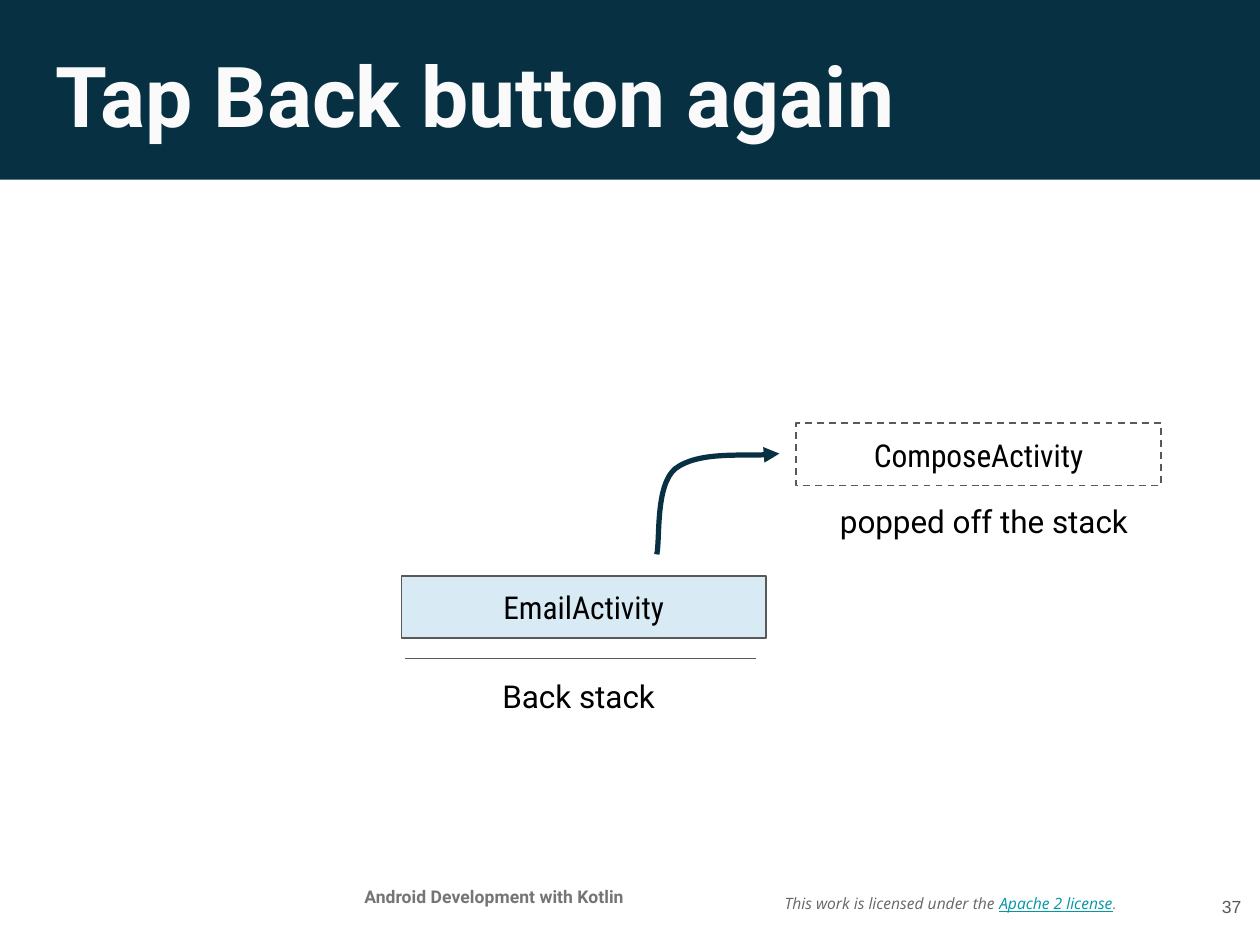
from lxml import etree
from pptx import Presentation
from pptx.dml.color import RGBColor
from pptx.enum.dml import MSO_LINE
from pptx.enum.shapes import MSO_CONNECTOR, MSO_SHAPE
from pptx.enum.text import MSO_ANCHOR, PP_ALIGN
from pptx.oxml.ns import qn
from pptx.util import Inches, Pt

RECTANGLE, STRAIGHT = MSO_SHAPE.RECTANGLE, MSO_CONNECTOR.STRAIGHT
TOP, MIDDLE = MSO_ANCHOR.TOP, MSO_ANCHOR.MIDDLE
LEFT, CENTER, RIGHT = PP_ALIGN.LEFT, PP_ALIGN.CENTER, PP_ALIGN.RIGHT
NAVY = RGBColor(0x07, 0x30, 0x42)
BLUE = RGBColor(0x0E, 0x87, 0xC0)
TEAL = RGBColor(0x00, 0x97, 0xA7)
WHITE = RGBColor(0xFF, 0xFF, 0xFF)
OFF_WHITE = RGBColor(0xFA, 0xFA, 0xFA)
BLACK = RGBColor(0, 0, 0)
DARK_GRAY = RGBColor(0x59, 0x59, 0x59)
MID_GRAY = RGBColor(0x66, 0x66, 0x66)
LIGHT_GRAY = RGBColor(0x75, 0x75, 0x75)

# Slide size in points (4:3), all other lengths in inches
SLIDE_SIZE = (540, 405)
BAND = (-0.01, -0.04, 7.51, 1.11)
INSET = 0.07
ACTIVITY_SIZE = (2.17, 0.37)

# Content: runs as (text, font, size, colour, styles)
TEXTS = [
    ((0.26, 0.19, 6.99, 0.63), LEFT, TOP,
     [("Tap Back button again", "Roboto", 36, OFF_WHITE, ("bold",))]),
    ((2.53, 4.04, 1.83, 0.2), CENTER, MIDDLE,
     [("Back stack", "Roboto", 13.5, BLACK, ())]),
    ((4.93, 2.92, *ACTIVITY_SIZE), LEFT, TOP,
     [("popped off the stack", "Roboto", 13.5, BLACK, ())]),
    ((1.88, 5.21, 2.12, 0.32), CENTER, TOP,
     [("Android Development with Kotlin", "Roboto", 7.5, LIGHT_GRAY, ("bold",))]),
    ((4.6, 5.14, 2.2, 0.47), LEFT, MIDDLE,
     [("This work is licensed under the ", "Open Sans", 6.7, MID_GRAY, ("italic",)),
      ("Apache 2 license", "Open Sans", 6.7, TEAL, ("italic", "underline")),
      (".", "Roboto", 6.7, MID_GRAY, ("italic",))]),
    ((7.01, 5.18, 0.45, 0.43), RIGHT, MIDDLE,
     [("37", "Arial", 7.5, DARK_GRAY, ())]),
]
# Activities: name, left, top, fill, opacity in percent, dash
ACTIVITIES = [
    ("EmailActivity", 2.39, 3.43, BLUE, 16, None),
    ("ComposeActivity", 4.74, 2.52, WHITE, 100, MSO_LINE.DASH),
]
STACK_LINE = (2.41, 3.92, 4.5, 3.92)
# Start point, then two control points and an end point per curve
POP_ARROW = [(3.91, 3.3), (3.93, 3.21), (3.9, 2.89), (4.02, 2.79),
             (4.15, 2.69), (4.53, 2.72), (4.64, 2.7)]


def inches(values):
    return [Inches(value) for value in values]


def write(shape, runs, align, anchor):
    frame = shape.text_frame
    frame.word_wrap = True
    frame.vertical_anchor = anchor
    frame.margin_left = frame.margin_right = Inches(INSET)
    frame.margin_top = frame.margin_bottom = Inches(INSET)
    para = frame.paragraphs[0]
    para.alignment = align
    for text, font, size, color, styles in runs:
        span = para.add_run()
        span.text = text
        span.font.name = font
        span.font.size = Pt(size)
        span.font.color.rgb = color
        for style in styles:
            setattr(span.font, style, True)


def add_rectangle(page, place, fill, opacity=100):
    box = page.shapes.add_shape(RECTANGLE, *inches(place))
    box.shadow.inherit = False
    box.fill.solid()
    box.fill.fore_color.rgb = fill
    if opacity < 100:
        color = box._element.spPr.find(".//" + qn("a:srgbClr"))
        etree.SubElement(color, qn("a:alpha"), val=str(opacity * 1000))
    box.line.fill.background()
    return box


def set_line(shape, color, width):
    shape.line.color.rgb = color
    shape.line.width = Pt(width)


def add_curved_arrow(page, points, color, width):
    builder = page.shapes.build_freeform(*inches(points[0]), scale=1.0)
    builder.add_line_segments([inches(point) for point in points[1:]], close=False)
    arrow = builder.convert_to_shape()
    arrow.shadow.inherit = False
    arrow.fill.background()
    set_line(arrow, color, width)
    outline = arrow._element.spPr.find(qn("a:ln"))
    etree.SubElement(outline, qn("a:tailEnd"), type="triangle")
    # Turn each three straight segments into one cubic curve
    segments = list(arrow._element.iter(qn("a:lnTo")))
    for first in range(0, len(segments), 3):
        curve = etree.Element(qn("a:cubicBezTo"))
        segments[first].addprevious(curve)
        for segment in segments[first:first + 3]:
            curve.append(segment[0])
            segment.getparent().remove(segment)


def main():
    deck = Presentation()
    deck.slide_width, deck.slide_height = [Pt(side) for side in SLIDE_SIZE]
    page = deck.slides.add_slide(deck.slide_layouts[6])

    # Title band
    add_rectangle(page, BAND, NAVY)

    # Line under the stack
    base = page.shapes.add_connector(STRAIGHT, *inches(STACK_LINE))
    set_line(base, DARK_GRAY, 0.75)
    etree.SubElement(base._element.spPr, qn("a:effectLst"))

    # Activities and the arrow between them
    for name, left, top, fill, opacity, dash in ACTIVITIES:
        box = add_rectangle(page, (left, top, *ACTIVITY_SIZE), fill, opacity)
        set_line(box, DARK_GRAY, 0.75)
        if dash:
            box.line.dash_style = dash
        write(box, [(name, "Roboto Condensed", 13.5, BLACK, ())], CENTER, MIDDLE)
    add_curved_arrow(page, POP_ARROW, NAVY, 2.25)

    # Title, labels and footer
    for place, align, anchor, runs in TEXTS:
        write(page.shapes.add_textbox(*inches(place)), runs, align, anchor)

    deck.save("out.pptx")


if __name__ == "__main__":
    main()
